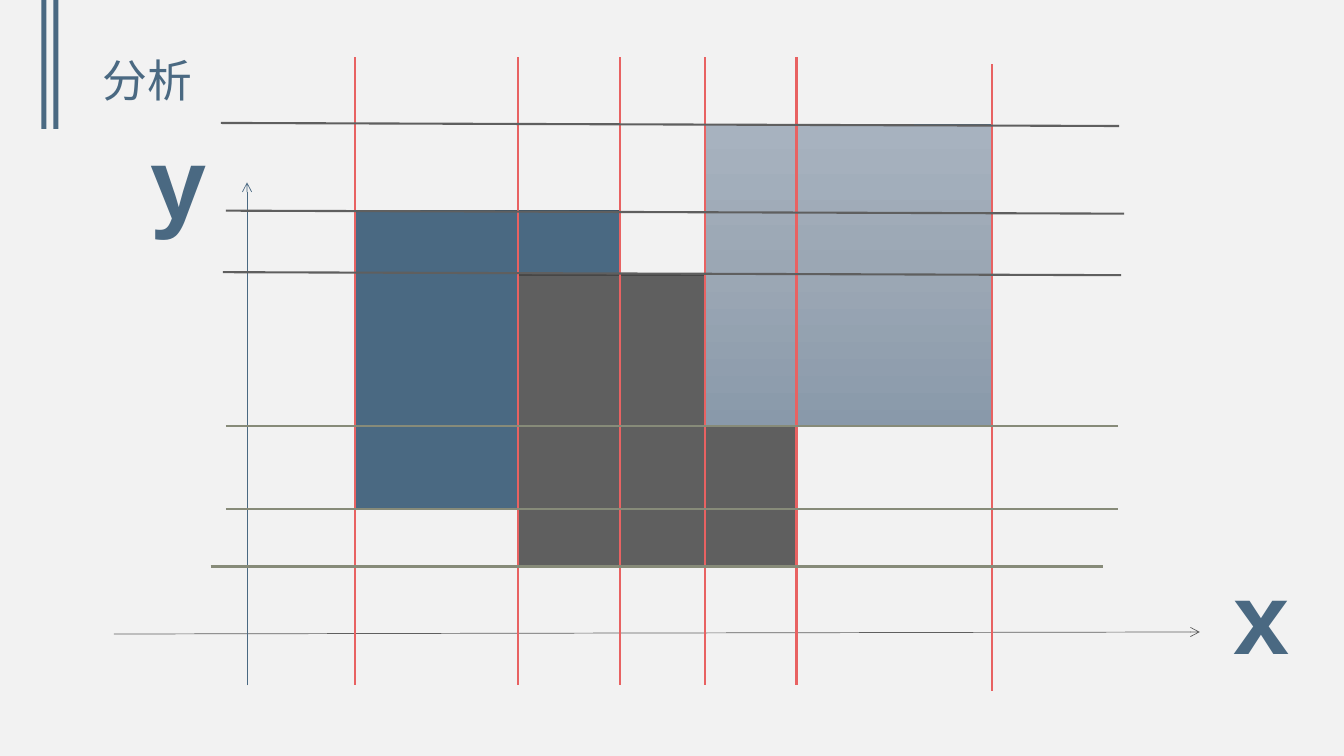
from copy import deepcopy

from lxml import etree
from pptx import Presentation
from pptx.dml.color import RGBColor
from pptx.enum.shapes import MSO_CONNECTOR, MSO_SHAPE
from pptx.enum.text import MSO_ANCHOR, PP_ALIGN
from pptx.oxml.ns import qn
from pptx.util import Inches, Pt

COLORS = {
    "back": "F2F2F2", "blue": "4A6982", "blue_edge": "374E60",
    "gray": "5F5F5F", "gray_edge": "464646", "red": "E86262", "olive": "878B79",
    "fade_top": "A7B2BF", "fade_mid": "9BA7B4", "fade_end": "8999AA",
}
RGB = {name: RGBColor.from_string(value) for name, value in COLORS.items()}

prs = Presentation()
prs.slide_width, prs.slide_height = Inches(13.33), Inches(7.5)
s = prs.slides.add_slide(prs.slide_layouts[6])
s.background.fill.solid()
s.background.fill.fore_color.rgb = RGB["back"]


def add_rect(x, y, w, h, fill, edge=None, width=0):
    sp = s.shapes.add_shape(MSO_SHAPE.RECTANGLE, *map(Inches, (x, y, w, h)))
    sp.shadow.inherit = False
    sp.fill.solid()
    sp.fill.fore_color.rgb = RGB[fill]
    if edge:
        sp.line.color.rgb = RGB[edge]
        sp.line.width = Pt(width)
    else:
        sp.line.fill.background()
    return sp


def add_line(x1, y1, x2, y2, color, width=1.5, arrow=False):
    cn = s.shapes.add_connector(MSO_CONNECTOR.STRAIGHT, *map(Inches, (x1, y1, x2, y2)))
    cn.line.color.rgb = RGB[color]
    cn.line.width = Pt(width)
    if arrow:
        etree.SubElement(cn.line._get_or_add_ln(), qn("a:tailEnd"), type="arrow")
    etree.SubElement(cn._element.spPr, qn("a:effectLst"))


# Corner bars
for x in (0.41, 0.53):
    add_rect(x, 0, 0.05, 1.28, "blue")

# Title and axis names
for text, box, size, bold, align, anchor in (
    ("分析", (0.92, 0.43, 11.5, 0.79), 32, False, PP_ALIGN.LEFT, MSO_ANCHOR.MIDDLE),
    ("x", (12.14, 5.44, 0.7, 1.3), 72, True, PP_ALIGN.CENTER, MSO_ANCHOR.TOP),
    ("y", (1.39, 1.13, 0.7, 1.3), 72, True, PP_ALIGN.CENTER, MSO_ANCHOR.TOP),
):
    tf = s.shapes.add_textbox(*map(Inches, box)).text_frame
    tf.word_wrap = True
    tf.vertical_anchor = anchor
    p = tf.paragraphs[0]
    p.alignment = align
    if not bold:
        p.line_spacing = 0.9
    r = p.add_run()
    r.text = text
    for name, value in {"name": "Arial", "size": Pt(size), "bold": bold}.items():
        setattr(r.font, name, value)
    r.font.color.rgb = RGB["blue"]

# Axes
add_line(1.13, 6.29, 11.9, 6.27, "gray", 0.5, arrow=True)
add_line(2.45, 6.8, 2.45, 1.81, "blue", 0.5, arrow=True)

# Overlapping rectangles
add_rect(3.52, 2.09, 2.63, 2.96, "blue", "blue_edge", 1)
add_rect(5.14, 2.73, 2.76, 2.88, "gray", "gray_edge", 1)
sp = add_rect(6.99, 1.23, 2.85, 3, "blue", "blue", 0.5)
sp.fill.gradient()
sp.fill.gradient_angle = 270
first = sp._element.spPr.find(".//" + qn("a:gs"))
middle = deepcopy(first)
middle.set("pos", "50000")
first.addnext(middle)
for stop, color in zip(sp.fill.gradient_stops, ("fade_top", "fade_mid", "fade_end")):
    stop.color.rgb = RGB[color]

# Vertical edges
for x in (3.52, 5.14, 6.99, 6.15, 7.9):
    add_line(x, 0.57, x, 6.8, "red")
add_line(9.84, 0.64, 9.84, 6.86, "red")

# Bottom edges are level, top edges tilt slightly
for x, y in ((2.09, 5.62), (2.24, 5.05), (2.24, 4.23)):
    add_line(x, y, x + 8.85, y, "olive")
for x, y in ((2.21, 2.7), (2.24, 2.09), (2.19, 1.22)):
    add_line(x, y, x + 8.91, y + 0.03, "gray")

prs.save("out.pptx")
